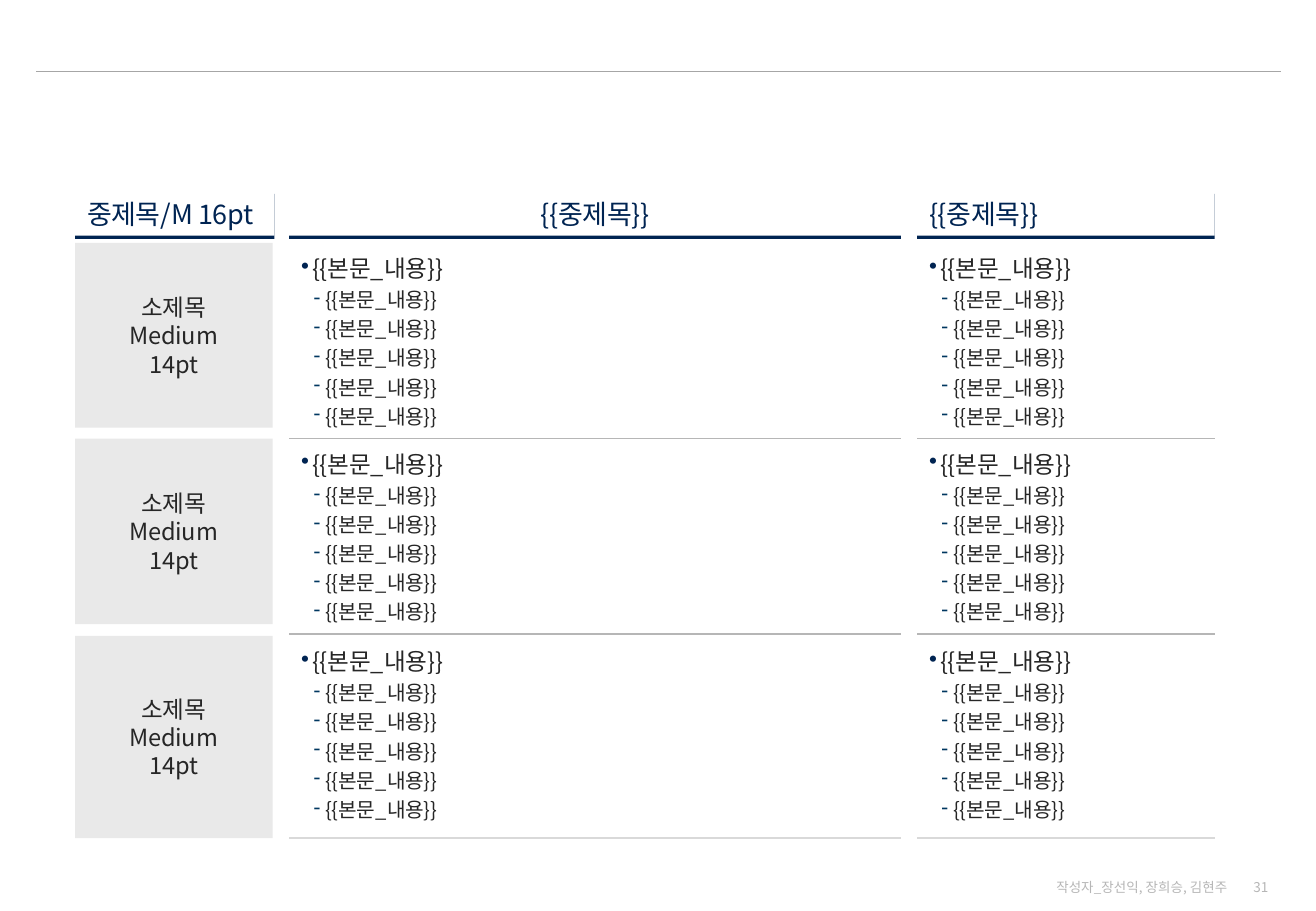
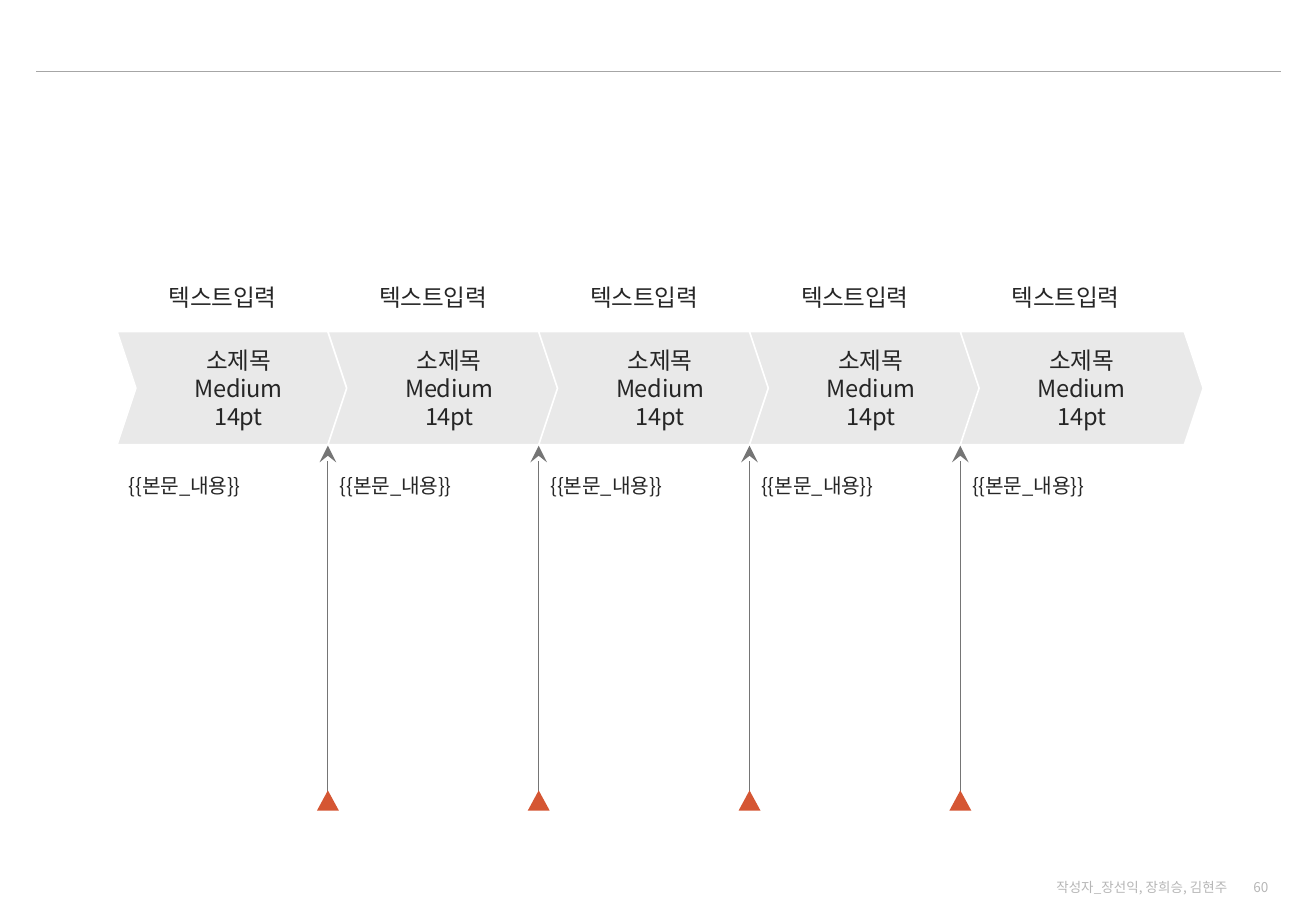
"""Build a three-row grid slide and a five-step process slide."""
from pptx import Presentation
from pptx.dml.color import RGBColor
from pptx.enum.shapes import MSO_CONNECTOR, MSO_SHAPE
from pptx.enum.text import MSO_ANCHOR, PP_ALIGN
from pptx.oxml.ns import qn
from pptx.util import Pt
from lxml.etree import SubElement

FACE = "Noto Sans CJK KR"
NAVY, TEAL, INK = "002452", "003760", "262626"
PALE, MUTE, FAINT = "E9E9E9", "B6B6B6", "D9D9D9"
RULE, STEM, RUST, WHITE = "A6A6A6", "757575", "D55633", "FFFFFF"
LEFT, MID, RIGHT = PP_ALIGN.LEFT, PP_ALIGN.CENTER, PP_ALIGN.RIGHT
CARD = ["소제목", "Medium", "14pt"]
BODY = "{{본문_내용}}"
HEAD = "{{중제목}}"


def tint(code):
    return RGBColor.from_string(code)


def bullet(para, mark, code, left, hang):
    props = para._p.get_or_add_pPr()
    props.set("marL", str(Pt(left)))
    props.set("indent", str(-Pt(hang)))
    hue = SubElement(props, qn("a:buClr"))
    SubElement(hue, qn("a:srgbClr"), val=code)
    SubElement(props, qn("a:buChar"), char=mark)


def write(para, text, size, code, align=LEFT, space=None, track=-20):
    para.alignment = align
    if space:
        para.line_spacing = space
    run = para.add_run()
    run.text = text
    run.font.size = Pt(size)
    run.font.color.rgb = tint(code)
    run.font.name = FACE
    props = run._r.get_or_add_rPr()
    props.set("spc", str(track))
    SubElement(props, qn("a:ea"), typeface=FACE)


def fill_text(shape, lines, size, code, align=LEFT, anchor=MSO_ANCHOR.MIDDLE, **style):
    frame = shape.text_frame
    frame.word_wrap = True
    frame.vertical_anchor = anchor
    for i, text in enumerate(lines):
        para = frame.add_paragraph() if i else frame.paragraphs[0]
        write(para, text, size, code, align, **style)


def add_text(slide, box, *args, **style):
    shape = slide.shapes.add_textbox(*map(Pt, box))
    fill_text(shape, *args, **style)


def add_list(slide, box):
    frame = slide.shapes.add_textbox(*map(Pt, box)).text_frame
    frame.word_wrap = True
    frame.margin_top = Pt(2.9)
    for i in range(6):
        para = frame.add_paragraph() if i else frame.paragraphs[0]
        look = ("‐", TEAL, 14.4, 7.2) if i else ("•", NAVY, 6.5, 6.5)
        bullet(para, *look)
        write(para, BODY, 12 if i else 14, INK, space=1.2)


def add_block(slide, kind, box, code, edge=None):
    shape = slide.shapes.add_shape(kind, *map(Pt, box))
    shape.shadow.inherit = False
    shape.fill.solid()
    shape.fill.fore_color.rgb = tint(code)
    if edge:
        shape.line.color.rgb = tint(edge)
        shape.line.width = Pt(1)
    else:
        shape.line.fill.background()
    return shape


def add_head(slide, left, width, text, align):
    shape = add_block(slide, MSO_SHAPE.RECTANGLE, (left, 113, width, 26.7), WHITE)
    effects = shape._element.spPr.find(qn("a:effectLst"))
    cast = SubElement(effects, qn("a:outerShdw"), blurRad="0", dist=str(Pt(2)),
                      dir="5400000", algn="t", rotWithShape="0")
    SubElement(cast, qn("a:srgbClr"), val=NAVY)
    fill_text(shape, [text], 16, NAVY, align, MSO_ANCHOR.BOTTOM)


def add_line(slide, ends, code, width, arrow=False):
    line = slide.shapes.add_connector(MSO_CONNECTOR.STRAIGHT, *map(Pt, ends))
    line.line.color.rgb = tint(code)
    line.line.width = Pt(width)
    if arrow:
        SubElement(line.line._get_or_add_ln(), qn("a:headEnd"),
                   type="stealth", w="lg", len="lg")
    SubElement(line._element.spPr, qn("a:effectLst"))


def start(deck, number):
    slide = deck.slides.add_slide(deck.slide_layouts[6])
    add_line(slide, (21.5, 42.6, 759, 42.6), RULE, 0.75)
    add_text(slide, (729.4, 520, 29.5, 11.5), [number], 8, MUTE, RIGHT, track=0)
    add_text(slide, (613.5, 520, 121, 11.5), ["작성자_장선익, 장희승, 김현주"],
             8, MUTE, RIGHT, track=0)
    return slide


def grid(deck):
    slide = start(deck, "31")
    first, *wide = cols = [(44.6, 118, "중제목/M 16pt", LEFT),
                           (171.4, 362.6, HEAD, MID),
                           (543.6, 176.4, HEAD, LEFT)]
    rows = [(144, 109.5, 260, MUTE), (260, 110, 376, MUTE), (377, 119.8, 496.8, FAINT)]
    for top, height, base, code in rows:
        card = add_block(slide, MSO_SHAPE.RECTANGLE, (first[0], top, 117, height), PALE)
        fill_text(card, CARD, 14, INK, MID)
        for left, width, *_ in wide:
            add_list(slide, (left, top + 0.5, width, 109.5))
            add_line(slide, (left, base, left + width, base), code, 1)
    for col in cols:
        add_head(slide, *col)


def process(deck):
    slide = start(deck, "60")
    step, edge = 124.95, 69.4
    for i in range(5):
        left = edge + i * step
        arrow = add_block(slide, MSO_SHAPE.CHEVRON, (left, 196.6, 144, 67), PALE, WHITE)
        arrow.adjustments[0] = 0.167
        fill_text(arrow, CARD, 14, INK, MID)
        add_text(slide, (left, 162, step, 30), ["텍스트입력"], 14, INK, MID, space=0.9)
        add_text(slide, (left, 274.3, step, 182), [BODY], 12, INK,
                 anchor=MSO_ANCHOR.TOP, space=1.2)
        if i:
            add_line(slide, (left, 264.2, left, 478), STEM, 0.5, True)
            add_block(slide, MSO_SHAPE.ISOSCELES_TRIANGLE,
                      (left - 6.5, 468.5, 13, 12), RUST)


def main():
    deck = Presentation()
    deck.slide_width, deck.slide_height = Pt(780), Pt(540)
    grid(deck)
    process(deck)
    deck.save("out.pptx")


if __name__ == "__main__":
    main()
